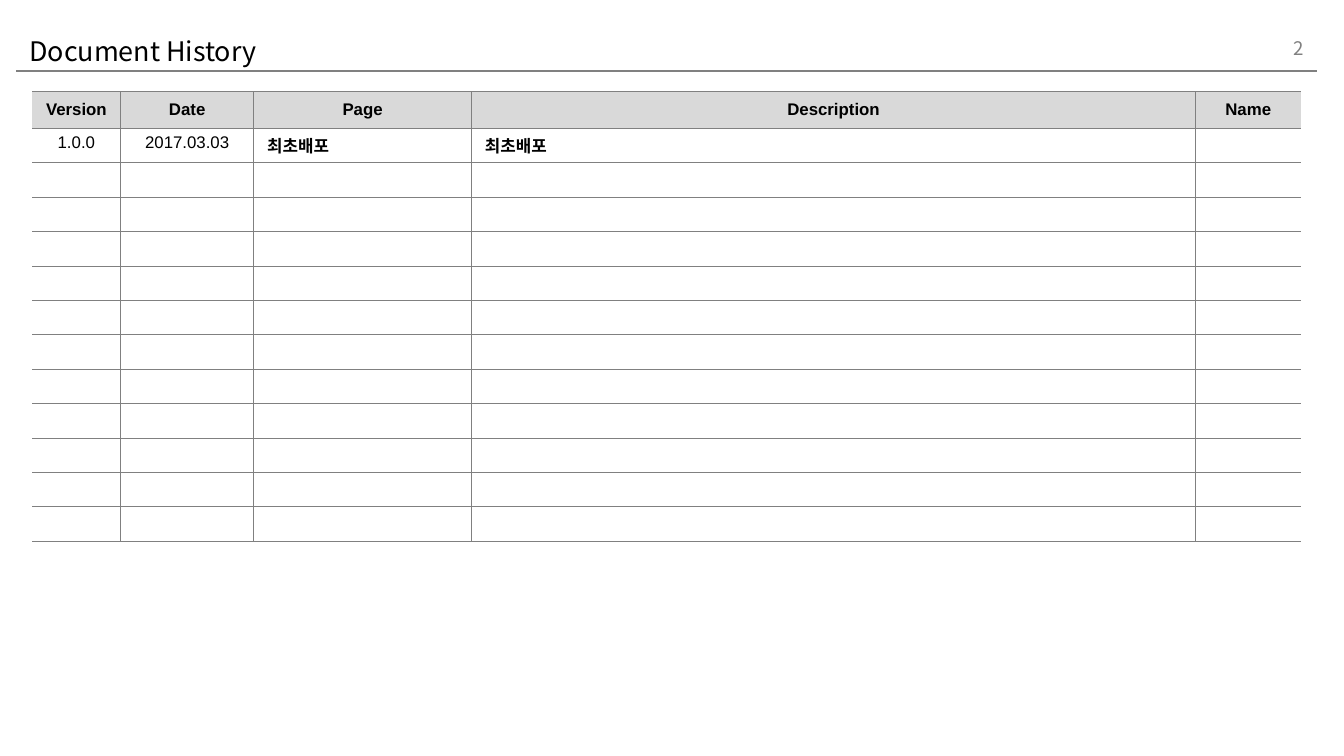
from dataclasses import dataclass

from lxml.etree import SubElement
from pptx import Presentation
from pptx.dml.color import RGBColor
from pptx.enum.shapes import MSO_CONNECTOR as Connector
from pptx.enum.text import MSO_ANCHOR as Anchor, PP_ALIGN as Align
from pptx.oxml.ns import qn
from pptx.util import Pt


@dataclass(frozen=True)
class Theme:
    """Colours, fonts and type sizes."""
    ink: str = "000000"
    gray: str = "808080"
    header: str = "D9D9D9"
    paper: str = "FFFFFF"
    latin: str = "Arial"
    korean: str = "Noto Sans CJK KR"
    title: float = 14.4
    number: float = 10
    body: float = 9


@dataclass(frozen=True)
class Label:
    """A line of text above the rule."""
    text: str
    left: float
    top: float
    width: float
    size: float
    color: str
    align: Align


@dataclass(frozen=True)
class Column:
    """A table column with its heading and first entry."""
    heading: str
    width: float
    entry: str
    align: Align
    bold: bool = False


THEME = Theme()
LABELS = (
    Label("Document History", 8.6, 16.5, 578, THEME.title, THEME.ink, Align.LEFT),
    Label("2", 662.4, 15.2, 43.2, THEME.number, THEME.gray, Align.RIGHT),
)
COLUMNS = (
    Column("Version", 47.4, "1.0.0", Align.CENTER),
    Column("Date", 71.3, "2017.03.03", Align.CENTER),
    Column("Page", 116.7, "최초배포", Align.LEFT, True),
    Column("Description", 387.9, "최초배포", Align.LEFT, True),
    Column("Name", 56.5, "", Align.LEFT),
)
ROW_COUNT = 13
HEADER_HEIGHT, ROW_HEIGHT = 19.6, 18.45
LABEL_HEIGHT = 21.6


def style_span(span, font: str, size: float, color: str, bold: bool = False) -> None:
    """Format one run."""
    span.font.name = font
    span.font.size = Pt(size)
    span.font.bold = bold
    span.font.color.rgb = RGBColor.from_string(color)
    SubElement(span.font._element, qn("a:ea"), typeface=THEME.korean)


def add_label(page, label: Label) -> None:
    """Add a vertically centred text box."""
    box = page.shapes.add_textbox(
        Pt(label.left), Pt(label.top), Pt(label.width), Pt(LABEL_HEIGHT))
    frame = box.text_frame
    frame.word_wrap = True
    frame.margin_top = frame.margin_bottom = 0
    frame.vertical_anchor = Anchor.MIDDLE
    frame.text = label.text
    para = frame.paragraphs[0]
    para.alignment = label.align
    style_span(para.runs[0], THEME.korean, label.size, label.color)


def add_rule(page) -> None:
    """Draw the line under the title."""
    rule = page.shapes.add_connector(
        Connector.STRAIGHT, Pt(8.6), Pt(38.2), Pt(705.6), Pt(38.2))
    rule.line.color.rgb = RGBColor.from_string(THEME.gray)
    rule.line.width = Pt(1)
    SubElement(rule._element.spPr, qn("a:effectLst"))


def add_borders(cell, open_sides: str) -> None:
    """Give a cell thin borders, except on its open sides."""
    props = cell._tc.get_or_add_tcPr()
    for side in "LRTB":
        line = SubElement(props, qn(f"a:ln{side}"), w=str(Pt(0.25)))
        if side in open_sides:
            SubElement(line, qn("a:noFill"))
        else:
            fill = SubElement(line, qn("a:solidFill"))
            SubElement(fill, qn("a:srgbClr"), val=THEME.gray)


def fill_cell(cell, text: str, align: Align, bold: bool, fill: str) -> None:
    """Set the text, margins and fill of a cell."""
    cell.margin_left = cell.margin_right = Pt(7.2)
    cell.margin_top = cell.margin_bottom = Pt(2.55)
    cell.fill.solid()
    cell.fill.fore_color.rgb = RGBColor.from_string(fill)
    cell.text_frame.text = text
    para = cell.text_frame.paragraphs[0]
    para.alignment = align
    for span in para.runs:
        style_span(span, THEME.latin, THEME.body, THEME.ink, bold)
    if not text:
        SubElement(para._p, qn("a:endParaRPr"), sz=str(THEME.body * 100))


def add_history(page) -> None:
    """Add the version table."""
    table = page.shapes.add_table(
        ROW_COUNT, len(COLUMNS), Pt(17.2), Pt(49.1),
        Pt(sum(column.width for column in COLUMNS)),
        Pt(HEADER_HEIGHT + ROW_HEIGHT * (ROW_COUNT - 1))).table
    table.first_row = table.horz_banding = False
    for index, row in enumerate(table.rows):
        row.height = Pt(ROW_HEIGHT if index else HEADER_HEIGHT)
    for number, column in enumerate(COLUMNS):
        table.columns[number].width = Pt(column.width)
        open_sides = {0: "L", len(COLUMNS) - 1: "R"}.get(number, "")
        for index in range(ROW_COUNT):
            cell = table.cell(index, number)
            add_borders(cell, open_sides)
            if index == 0:
                fill_cell(cell, column.heading, Align.CENTER, True, THEME.header)
                cell.vertical_anchor = Anchor.MIDDLE
            else:
                entry = column.entry if index == 1 else ""
                fill_cell(cell, entry, column.align, column.bold, THEME.paper)


def main() -> None:
    """Build and save the deck."""
    deck = Presentation()
    deck.slide_width, deck.slide_height = Pt(720), Pt(405)
    page = deck.slides.add_slide(deck.slide_layouts[6])
    add_rule(page)
    for label in LABELS:
        add_label(page, label)
    add_history(page)
    deck.save("out.pptx")


main()
